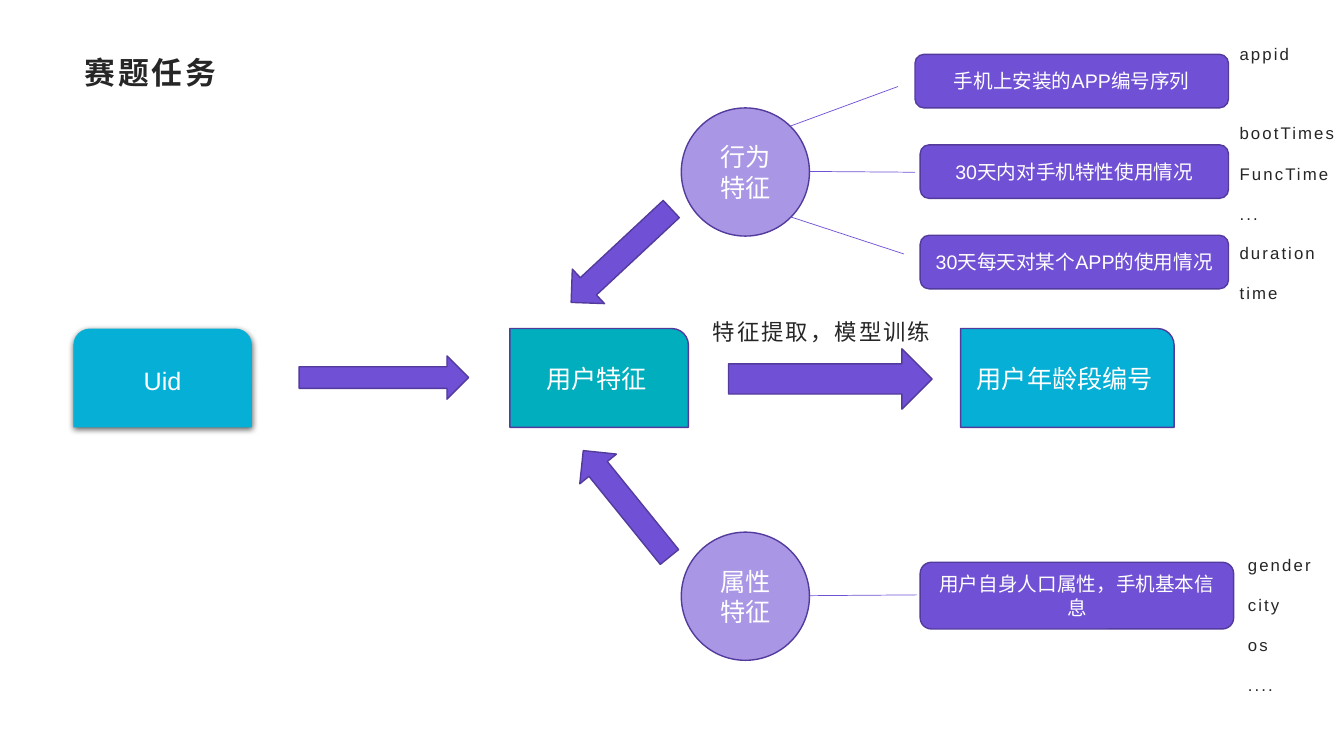
from dataclasses import dataclass
from typing import Optional

from lxml import etree
from pptx import Presentation
from pptx.dml.color import RGBColor
from pptx.enum.shapes import MSO_CONNECTOR, MSO_SHAPE as Shp
from pptx.enum.text import MSO_ANCHOR, MSO_AUTO_SIZE, PP_ALIGN
from pptx.oxml.ns import qn
from pptx.util import Cm, Pt

WHITE = RGBColor(0xFF, 0xFF, 0xFF)
INK = RGBColor(0x26, 0x26, 0x26)
PURPLE = RGBColor(0x70, 0x50, 0xD4)
EDGE = RGBColor(0x53, 0x3B, 0x9D)
LILAC = RGBColor(0xA9, 0x96, 0xE5)
BLUE = RGBColor(0x05, 0xAF, 0xD5)
TEAL = RGBColor(0x00, 0xAE, 0xBD)
LATIN, CJK = "Arial", "Noto Sans CJK SC"


@dataclass
class Node:
    kind: Shp
    left: float
    top: float
    width: float
    height: float
    fill: RGBColor = PURPLE
    text: str = ""
    size: int = 18
    edge: Optional[RGBColor] = EDGE
    angle: float = 0


@dataclass
class Link:
    x1: float
    y1: float
    x2: float
    y2: float


@dataclass
class Label:
    left: float
    top: float
    width: float
    height: float
    lines: tuple[str, ...]


ROW_TOP, ROW_H = 8.28, 2.49
CIRCLE_X, CIRCLE_D = 17.17, 3.23
BOX_X, BOX_W, BOX_H = 23.19, 7.77, 1.35
LABEL_X = 30.96

NODES = [
    Node(Shp.ROUND_2_SAME_RECTANGLE, 1.85, ROW_TOP, 4.5, ROW_H, BLUE, "Uid", edge=None),
    Node(Shp.RIGHT_ARROW, 7.54, 8.97, 4.27, 1.09),
    Node(Shp.ROUND_1_RECTANGLE, 12.85, ROW_TOP, 4.5, ROW_H, TEAL, "用户特征"),
    Node(Shp.DOWN_ARROW, 15.06, 4.72, 1.19, 3.45, angle=47),
    Node(Shp.DOWN_ARROW, 15.19, 10.97, 1.19, 3.45, angle=141),
    Node(Shp.RIGHT_ARROW, 18.36, 8.79, 5.13, 1.52),
    Node(Shp.ROUND_1_RECTANGLE, 24.21, ROW_TOP, 5.38, ROW_H, BLUE, "用户年龄段编号"),
    Node(Shp.OVAL, CIRCLE_X, 2.72, CIRCLE_D, CIRCLE_D, LILAC, "行为特征"),
    Node(Shp.OVAL, CIRCLE_X, 13.41, CIRCLE_D, CIRCLE_D, LILAC, "属性特征"),
    Node(Shp.ROUNDED_RECTANGLE, 23.06, 1.37, 7.9, BOX_H, text="手机上安装的APP编号序列", size=14),
    Node(Shp.ROUNDED_RECTANGLE, BOX_X, 3.65, BOX_W, BOX_H, text="30天内对手机特性使用情况", size=14),
    Node(Shp.ROUNDED_RECTANGLE, BOX_X, 5.93, BOX_W, BOX_H, text="30天每天对某个APP的使用情况", size=14),
    Node(Shp.ROUNDED_RECTANGLE, BOX_X, 14.17, 7.9, 1.68, text="用户自身人口属性，手机基本信息", size=14),
]

LINKS = [
    Link(19.91, 3.18, 22.63, 2.18),
    Link(20.4, 4.32, 23.06, 4.34),
    Link(19.91, 5.46, 22.78, 6.4),
    Link(20.4, 15.01, 23.11, 14.99),
]

LABELS = [
    Label(LABEL_X, 0.94, 2.39, 0.97, ("appid",)),
    Label(LABEL_X, 2.95, 3.63, 2.79, ("bootTimes", "FuncTime", "...")),
    Label(LABEL_X, 5.97, 2.77, 2.11, ("duration", "time")),
    Label(31.17, 13.82, 2.39, 3.78, ("gender", "city", "os", "....")),
]


def add_run(p, text: str, size: int, color: RGBColor, latin: str = LATIN,
            bold: bool = False, spacing: float = 0) -> None:
    r = p.add_run()
    r.text = text
    r.font.size = Pt(size)
    r.font.bold = bold
    r.font.name = latin
    r.font.color.rgb = color
    rPr = r.font._element
    etree.SubElement(rPr, qn("a:ea")).set("typeface", CJK)
    if spacing:
        rPr.set("spc", str(int(spacing * 100)))


def place(sp, left: float, top: float, width: float, height: float) -> None:
    sp.left, sp.top, sp.width, sp.height = Cm(left), Cm(top), Cm(width), Cm(height)


def set_frame(tf, left: float, top: float, right: float, bottom: float) -> None:
    tf.word_wrap = True
    tf.auto_size = MSO_AUTO_SIZE.NONE
    tf.margin_left, tf.margin_top = Cm(left), Cm(top)
    tf.margin_right, tf.margin_bottom = Cm(right), Cm(bottom)


def write_lines(tf, lines: tuple[str, ...], size: int) -> None:
    set_frame(tf, 0.28, 0, 0.23, 0)
    for i, line in enumerate(lines):
        p = tf.add_paragraph() if i else tf.paragraphs[0]
        p.line_spacing = 1.3
        p.space_before, p.space_after = Pt(0), Pt(10)
        add_run(p, line, size, INK, spacing=1.5)


def draw_node(s, node: Node):
    sp = s.shapes.add_shape(node.kind, Cm(node.left), Cm(node.top),
                            Cm(node.width), Cm(node.height))
    sp.rotation = node.angle
    sp.shadow.inherit = False
    sp.fill.solid()
    sp.fill.fore_color.rgb = node.fill
    if node.edge is None:
        sp.line.fill.background()
    else:
        sp.line.color.rgb = node.edge
        sp.line.width = Pt(1)
    if node.text:
        tf = sp.text_frame
        tf.word_wrap = True
        tf.vertical_anchor = MSO_ANCHOR.MIDDLE
        p = tf.paragraphs[0]
        p.alignment = PP_ALIGN.CENTER
        add_run(p, node.text, node.size, WHITE)
    return sp


def add_drop_shadow(sp) -> None:
    effects = sp._element.spPr.find(qn("a:effectLst"))
    shadow = etree.SubElement(effects, qn("a:outerShdw"), blurRad=str(Pt(4.5)),
                              dist=str(Pt(1.5)), dir="5400000", rotWithShape="0")
    color = etree.SubElement(shadow, qn("a:srgbClr"), val="000000")
    etree.SubElement(color, qn("a:alpha"), val="63000")


def draw_link(s, link: Link) -> None:
    line = s.shapes.add_connector(MSO_CONNECTOR.STRAIGHT, Cm(link.x1), Cm(link.y1),
                                  Cm(link.x2), Cm(link.y2))
    line.line.color.rgb = PURPLE
    line.line.width = Pt(0.5)
    etree.SubElement(line._element.spPr, qn("a:effectLst"))


def draw_label(s, label: Label) -> None:
    sp = s.shapes.add_textbox(Cm(label.left), Cm(label.top),
                              Cm(label.width), Cm(label.height))
    write_lines(sp.text_frame, label.lines, 12)


def fill_placeholders(s) -> None:
    title, body = s.shapes.title, s.placeholders[1]
    place(title, 1.85, 1.22, 30.15, 1.22)
    set_frame(title.text_frame, 0.28, 0.1, 0.2, 0.1)
    title.text_frame.vertical_anchor = MSO_ANCHOR.MIDDLE
    p = title.text_frame.paragraphs[0]
    p.alignment = PP_ALIGN.LEFT
    add_run(p, "赛题任务", 22, INK, latin=CJK, bold=True, spacing=2)

    place(body, 17.68, 7.82, 6.53, 0.97)
    write_lines(body.text_frame, ("特征提取，模型训练",), 16)
    pPr = body.text_frame.paragraphs[0]._p.get_or_add_pPr()
    pPr.set("marL", "0")
    pPr.set("indent", "0")
    etree.SubElement(pPr, qn("a:buNone"))


def main() -> None:
    prs = Presentation()
    prs.slide_width, prs.slide_height = Cm(33.87), Cm(19.05)
    s = prs.slides.add_slide(prs.slide_layouts[1])
    fill_placeholders(s)
    for link in LINKS:
        draw_link(s, link)
    for node in NODES:
        sp = draw_node(s, node)
        if node.edge is None:
            add_drop_shadow(sp)
    for label in LABELS:
        draw_label(s, label)
    prs.save("out.pptx")


if __name__ == "__main__":
    main()
